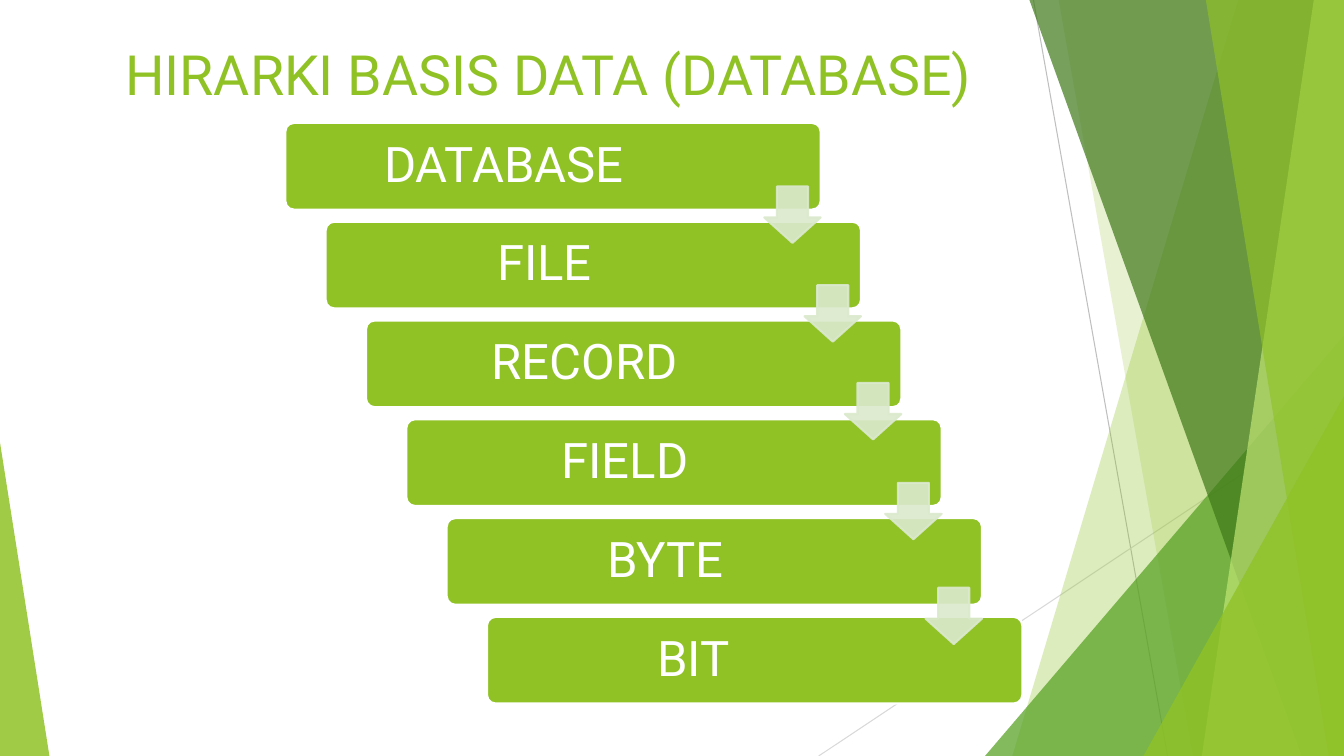
from dataclasses import dataclass

from lxml import etree
from pptx import Presentation
from pptx.dml.color import RGBColor
from pptx.enum.shapes import MSO_CONNECTOR, MSO_SHAPE
from pptx.enum.text import MSO_ANCHOR, PP_ALIGN
from pptx.oxml.ns import qn
from pptx.util import Inches, Pt

TRIANGLE = MSO_SHAPE.ISOSCELES_TRIANGLE
ROUNDED = MSO_SHAPE.ROUNDED_RECTANGLE
DOWN_ARROW = MSO_SHAPE.DOWN_ARROW
STRAIGHT = MSO_CONNECTOR.STRAIGHT
MIDDLE = MSO_ANCHOR.MIDDLE
CENTER = PP_ALIGN.CENTER


@dataclass(frozen=True)
class Theme:
    font: str = "Roboto"
    title_size: float = 39.6
    level_size: float = 35
    outline: float = 1.5
    hairline: float = 0.75
    green: str = "90C226"
    mid_green: str = "54A021"
    dark_green: str = "3F7819"
    pale_green: str = "C0E474"
    arrow: str = "DBE9CD"
    white: str = "FFFFFF"
    grey: str = "BFBFBF"
    light_grey: str = "D9D9D9"


THEME = Theme()
WIDTH, HEIGHT = 13.33, 7.5

# Background: hairlines and translucent facets, from back to front
HAIRLINES = [
    ((10.25, 0), (11.58, HEIGHT), THEME.grey),
    ((WIDTH, 4.03), (8.12, HEIGHT), THEME.light_grey),
]
# Bands reach the right edge: x at the top, x at the bottom, colour, opacity
# Wedges stand on the lower edge: left, top, width, apex, colour, opacity
FACETS = [
    ("band", 12.28, 10.04, THEME.green, 30),
    ("band", 10.5, 11.83, THEME.green, 20),
    ("wedge", 9.77, 3.33, 3.56, 1, THEME.mid_green, 72),
    ("band", 10.21, 12.91, THEME.dark_green, 70),
    ("band", 13.03, 11.92, THEME.pale_green, 70),
    ("band", 11.96, 13.18, THEME.green, 65),
    ("wedge", 11.34, 3.93, 1.99, 1, THEME.green, 80),
    ("wedge", 0, 4.39, 0.49, 0, THEME.green, 85),
]

# Staircase of levels, each with its label's shift to the right
LEVELS = [("DATABASE", 0), ("FILE", 0), ("RECORD", 0),
          ("FIELD", 0), ("BYTE", 0), ("BIT", -0.12)]
STEP_X, STEP_Y = 0.4, 0.98
BAR_LEFT, BAR_TOP, BAR_WIDTH, BAR_HEIGHT = 2.83, 1.22, 5.31, 0.86
LABEL_LEFT, LABEL_RIGHT = 0.17, 1.14
ARROW_LEFT, ARROW_SIZE = 7.58, 0.56
ARROW_TOPS = [1.85, 2.83, 3.8, 4.79, 5.83]


def paint(color_format, color, opacity=100):
    """Colour a solid fill, with an alpha value when it is translucent."""
    color_format.solid()
    color_format.fore_color.rgb = RGBColor.from_string(color)
    if opacity < 100:
        for node in color_format._xPr.iter(qn("a:srgbClr")):
            if node.getparent().getparent() is color_format._xPr:
                alpha = etree.SubElement(node, qn("a:alpha"))
                alpha.set("val", str(opacity * 1000))


def style_shape(shape, fill, opacity=100, outline=None):
    shape.shadow.inherit = False
    paint(shape.fill, fill, opacity)
    if outline:
        shape.line.width = Pt(THEME.outline)
        paint(shape.line.fill, outline, opacity)
    else:
        shape.line.fill.background()


def add_preset(slide, preset, box, adjustments):
    shape = slide.shapes.add_shape(preset, *map(Inches, box))
    for index, value in enumerate(adjustments):
        shape.adjustments[index] = value
    return shape


def set_attributes(target, values):
    for name, value in values.items():
        setattr(target, name, value)


def write(shape, text, size, color, frame_format, line_spacing=1.0):
    frame = shape.text_frame
    set_attributes(frame, {"word_wrap": True, "vertical_anchor": MIDDLE,
                           **frame_format})
    paragraph = frame.paragraphs[0]
    set_attributes(paragraph, {"alignment": CENTER,
                               "line_spacing": line_spacing})
    run = paragraph.add_run()
    run.text = text
    set_attributes(run.font, {"name": THEME.font, "size": Pt(size)})
    run.font.color.rgb = RGBColor.from_string(color)


def add_hairline(slide, start, end, color):
    line = slide.shapes.add_connector(STRAIGHT, *map(Inches, start + end))
    line.line.width = Pt(THEME.hairline)
    paint(line.line.fill, color)
    etree.SubElement(line._element.spPr, qn("a:effectLst"))


def add_band(slide, top_x, bottom_x, color, opacity):
    corners = [(top_x, 0), (WIDTH, 0), (WIDTH, HEIGHT), (bottom_x, HEIGHT)]
    points = [(Inches(x), Inches(y)) for x, y in corners]
    builder = slide.shapes.build_freeform(*points[0])
    builder.add_line_segments(points[1:], close=True)
    style_shape(builder.convert_to_shape(), color, opacity)


def add_wedge(slide, left, top, width, apex, color, opacity):
    box = (left, top, width, HEIGHT - top)
    style_shape(add_preset(slide, TRIANGLE, box, [apex]), color, opacity)


def add_title(slide, text):
    title = slide.shapes.add_textbox(*map(Inches, (0.74, 0.31, 9.4, 0.83)))
    write(title, text, THEME.title_size, THEME.green, {})


def add_level(slide, index, name, shift):
    box = (BAR_LEFT + index * STEP_X, BAR_TOP + index * STEP_Y,
           BAR_WIDTH, BAR_HEIGHT)
    bar = add_preset(slide, ROUNDED, box, [0.1])
    style_shape(bar, THEME.green, outline=THEME.white)
    insets = {"margin_left": Inches(LABEL_LEFT + shift),
              "margin_right": Inches(LABEL_RIGHT - shift),
              "margin_top": Inches(0.15), "margin_bottom": Inches(0.15)}
    write(bar, name, THEME.level_size, THEME.white, insets, 0.9)


def add_step_arrow(slide, index, top):
    box = (ARROW_LEFT + index * STEP_X, top, ARROW_SIZE, ARROW_SIZE)
    # The preset lists its shaft width first, then its head length
    arrow = add_preset(slide, DOWN_ARROW, box, [0.55, 0.45])
    arrow.adjustments[0], arrow.adjustments[1] = 0.55, 0.45
    style_shape(arrow, THEME.arrow, 90, THEME.arrow)


def main():
    deck = Presentation()
    deck.slide_width, deck.slide_height = Inches(WIDTH), Inches(HEIGHT)
    slide = deck.slides.add_slide(deck.slide_layouts[6])

    # Background
    for start, end, color in HAIRLINES:
        add_hairline(slide, start, end, color)
    draw = {"band": add_band, "wedge": add_wedge}
    for kind, *values in FACETS:
        draw[kind](slide, *values)

    # Title and hierarchy
    add_title(slide, "HIRARKI BASIS DATA (DATABASE)")
    for index, (name, shift) in enumerate(LEVELS):
        add_level(slide, index, name, shift)
    for index, top in enumerate(ARROW_TOPS):
        add_step_arrow(slide, index, top)

    deck.save("out.pptx")


main()
